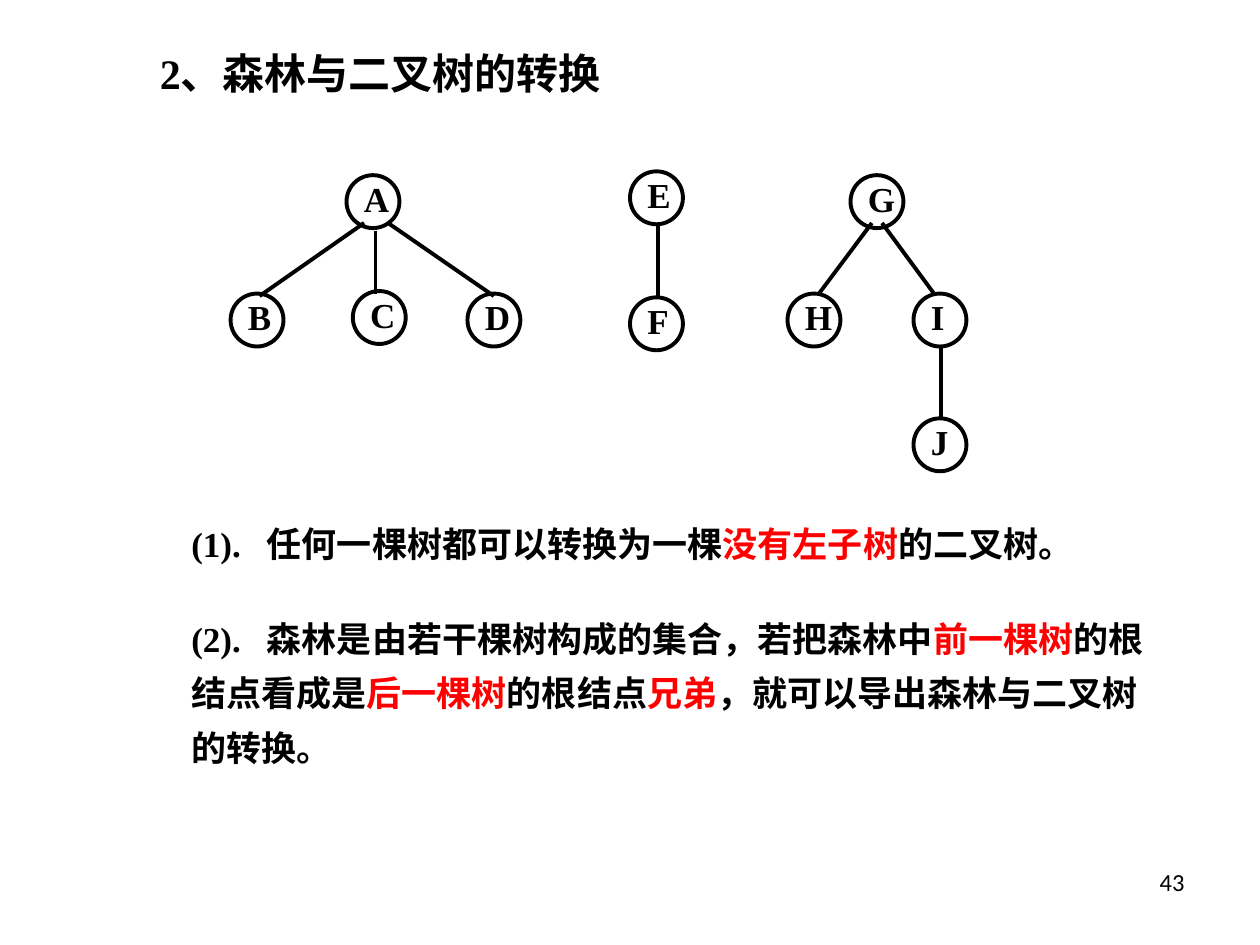
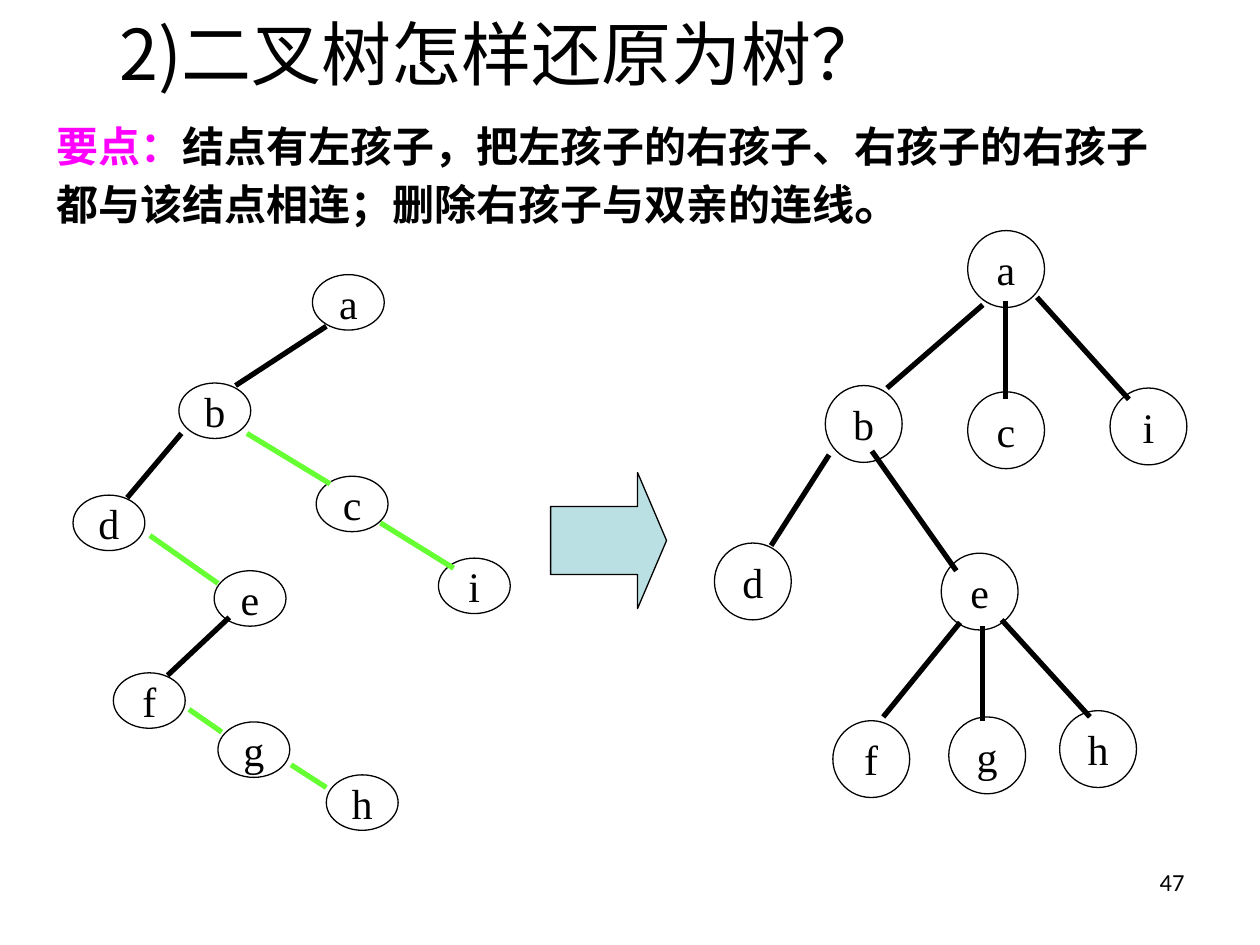
from pptx import Presentation
from pptx.dml.color import RGBColor
from pptx.enum.shapes import MSO_CONNECTOR, MSO_SHAPE
from pptx.enum.text import MSO_ANCHOR, PP_ALIGN
from pptx.oxml.ns import qn
from pptx.util import Inches, Pt
from lxml import etree

OVAL, ARROW = MSO_SHAPE.OVAL, MSO_SHAPE.RIGHT_ARROW
LINE = MSO_CONNECTOR.STRAIGHT
LEFT, MID, RIGHT = PP_ALIGN.LEFT, PP_ALIGN.CENTER, PP_ALIGN.RIGHT
TOP, CENTER = MSO_ANCHOR.TOP, MSO_ANCHOR.MIDDLE

INK = {"black": "000000", "white": "FFFFFF", "red": "FF0000",
       "pink": "FF00FF", "green": "66FF33", "teal": "BBE0E3"}
TIMES, HAN, SANS = "Times New Roman", "Noto Sans CJK SC", "Calibri"

# Text styles
HEAD = {"name": TIMES, "size": Pt(24), "bold": True}
TITLE = {"name": HAN, "size": Pt(40), "bold": False}
POINT = {"name": HAN, "size": Pt(24), "bold": True}
NOTE = {"name": TIMES, "size": Pt(20), "bold": True}
NODE = {"name": TIMES, "size": Pt(24), "bold": False}
PAGE = {"name": SANS, "size": Pt(14), "bold": False}

# Forest: box origin, node places, edges (all inside the box)
FOREST = [
    ((1.83, 1.39),
     {"A": (0.92, 0), "B": (0, 0.94), "C": (0.97, 0.92), "D": (1.88, 0.94)},
     [(1.15, 0.44, 1.15, 0.94), (1.06, 0.38, 0.23, 0.96),
      (1.25, 0.38, 2.09, 0.96)]),
    ((5, 1.36),
     {"E": (0, 0), "F": (0, 1)},
     [(0.22, 0.43, 0.22, 1.01)]),
    ((6.25, 1.39),
     {"G": (0.5, 0), "H": (0, 0.94), "I": (1, 0.94), "J": (1, 1.93)},
     [(0.67, 0.38, 0.25, 0.94), (0.75, 0.38, 1.17, 0.95),
      (1.22, 1.36, 1.22, 1.94)]),
]

# Binary tree: left links stay, right links are cut
BINARY = {"a": (1.9, 0), "b": (0.84, 0.86), "c": (1.93, 1.6),
          "d": (0, 1.75), "e": (1.12, 2.35), "f": (0.32, 3.16),
          "g": (1.15, 3.55), "h": (2.01, 3.97), "i": (2.9, 2.25)}
KEPT = [(2.01, 0.41, 1.29, 0.88), (0.86, 1.26, 0.43, 1.77),
        (1.24, 2.72, 0.75, 3.18)]
CUT = [(1.38, 1.26, 2.04, 1.66), (2.44, 1.97, 3.02, 2.33),
       (0.61, 2.07, 1.15, 2.45), (0.92, 3.45, 1.18, 3.63),
       (1.73, 3.89, 2.01, 4.07)]

# Restored tree
TREE = {"a": (2.01, 0), "b": (0.88, 1.23), "c": (2.01, 1.28),
        "d": (0, 2.48), "e": (1.8, 2.56), "f": (0.94, 3.89),
        "g": (1.86, 3.86), "h": (2.74, 3.81), "i": (3.14, 1.25)}
LINKS = [(2.13, 0.59, 1.37, 1.25), (2.31, 0.56, 2.31, 1.34),
         (2.56, 0.53, 3.29, 1.34), (0.91, 1.78, 0.45, 2.5),
         (1.25, 1.75, 1.92, 2.7), (1.95, 3.11, 1.34, 3.86),
         (2.13, 3.14, 2.13, 3.89), (2.28, 3.09, 2.98, 3.86)]


def color(key):
    return RGBColor.from_string(INK[key])


def write(frame, runs, style, align=LEFT, anchor=TOP, space=1, tab=None):
    """Fill a frame with (text, colour, changes) runs."""
    frame.vertical_anchor = anchor
    para = frame.paragraphs[0]
    para.alignment, para.line_spacing = align, space
    if tab:
        stops = etree.SubElement(para._p.get_or_add_pPr(), qn("a:tabLst"))
        etree.SubElement(stops, qn("a:tab"), pos=str(Inches(tab)), algn="l")
    for text, key, more in runs:
        run = para.add_run()
        run.text = text
        for name, value in {**style, **more}.items():
            setattr(run.font, name, value)
        run.font.color.rgb = color(key)
        east = etree.SubElement(run._r.get_or_add_rPr(), qn("a:ea"))
        east.set("typeface", HAN)


def label(slide, box, runs, style, **how):
    shape = slide.shapes.add_textbox(*map(Inches, box))
    shape.text_frame.word_wrap = True
    if isinstance(runs, str):
        runs = [(runs, "black", {})]
    write(shape.text_frame, runs, style, **how)


def solid(slide, kind, box, fill, width):
    shape = slide.shapes.add_shape(kind, *map(Inches, box))
    shape.shadow.inherit = False
    if fill:
        shape.fill.solid()
        shape.fill.fore_color.rgb = color(fill)
    else:
        shape.fill.background()
    shape.line.color.rgb = color("black")
    shape.line.width = Pt(width)
    return shape


def edges(slide, origin, ends, key, width):
    x, y = origin
    for x1, y1, x2, y2 in ends:
        line = slide.shapes.add_connector(
            LINE, *map(Inches, (x + x1, y + y1, x + x2, y + y2)))
        line.line.color.rgb = color(key)
        line.line.width = Pt(width)
        etree.SubElement(line._element.spPr, qn("a:effectLst"))


def grove(slide, origin, nodes, ends):
    """One tree of the forest: bold rings with a label beside the centre."""
    for name, (dx, dy) in nodes.items():
        x, y = origin[0] + dx, origin[1] + dy
        solid(slide, OVAL, (x, y, 0.42, 0.42), None, 2.25)
        label(slide, (x + 0.04, y - 0.03, 0.67, 0.44), name, NOTE)
    edges(slide, origin, ends, "black", 2.25)


def nodes(slide, origin, places, size, fill=None):
    """Thin ovals with a centred letter."""
    for name, (dx, dy) in places.items():
        shape = solid(slide, OVAL, (origin[0] + dx, origin[1] + dy, *size),
                      fill, 0.75)
        shape.text_frame.word_wrap = False
        write(shape.text_frame, [(name, "black", {})], NODE, MID, CENTER)


def page(deck, number):
    """New blank slide with its number."""
    slide = deck.slides.add_slide(deck.slide_layouts[6])
    label(slide, (7.17, 6.83, 2.33, 0.52), number, PAGE, align=RIGHT)
    return slide


def rules(slide, x, y):
    """Two numbered statements with red key words."""
    first = [("(1).\t任何一棵树都可以转换为一棵", "black", {}),
             ("没有左子树", "red", {}),
             ("的二叉树。", "black", {})]
    second = [("(2).\t森林是由若干棵树构成的集合，若把森林中", "black", {}),
              ("前一棵树", "red", {}),
              ("的根结点看成是", "black", {}),
              ("后一棵树", "red", {}),
              ("的根结点", "black", {}),
              ("兄弟", "red", {}),
              ("，就可以导出森林与二叉树的转换。", "black", {})]
    for runs, dy, high in ((first, 0, 0.54), (second, 0.75, 1.4)):
        label(slide, (x, y + dy, 7.83, high), runs, NOTE, space=1.3, tab=0.6)


def forest(deck):
    slide = page(deck, "43")
    label(slide, (1.17, 0.33, 5.08, 0.5), "2、森林与二叉树的转换", HEAD)
    for origin, places, ends in FOREST:
        grove(slide, origin, places, ends)
    rules(slide, 1.42, 4)


def restore(deck):
    slide = page(deck, "47")
    label(slide, (0.51, 0, 6.92, 0.83), "2)二叉树怎样还原为树？", TITLE,
          align=MID, anchor=CENTER)
    label(slide, (0.35, 0.91, 8.98, 1.04), [
        ("要点：", "pink", {}),
        ("结点有左孩子，把左孩子的右孩子、右孩子的右孩子"
         "都与该结点相连；删除右孩子与双亲的连线", "black", {}),
        ("。", "black", {"size": Pt(28)})], POINT)

    # Binary tree
    left = (0.58, 2.18)
    nodes(slide, left, BINARY, (0.57, 0.44))
    edges(slide, left, KEPT, "black", 3)
    edges(slide, left, CUT, "green", 3)

    # Restored tree
    right = (5.67, 1.83)
    nodes(slide, right, TREE, (0.61, 0.61), "white")
    edges(slide, right, LINKS, "black", 3)

    # Arrow between them
    arrow = solid(slide, ARROW, (4.37, 3.75, 0.92, 1.08), "teal", 0.75)
    arrow.adjustments[0], arrow.adjustments[1] = 0.5, 0.25


def main():
    deck = Presentation()
    deck.slide_width, deck.slide_height = Inches(10), Inches(7.5)
    forest(deck)
    restore(deck)
    deck.save("out.pptx")


if __name__ == "__main__":
    main()
